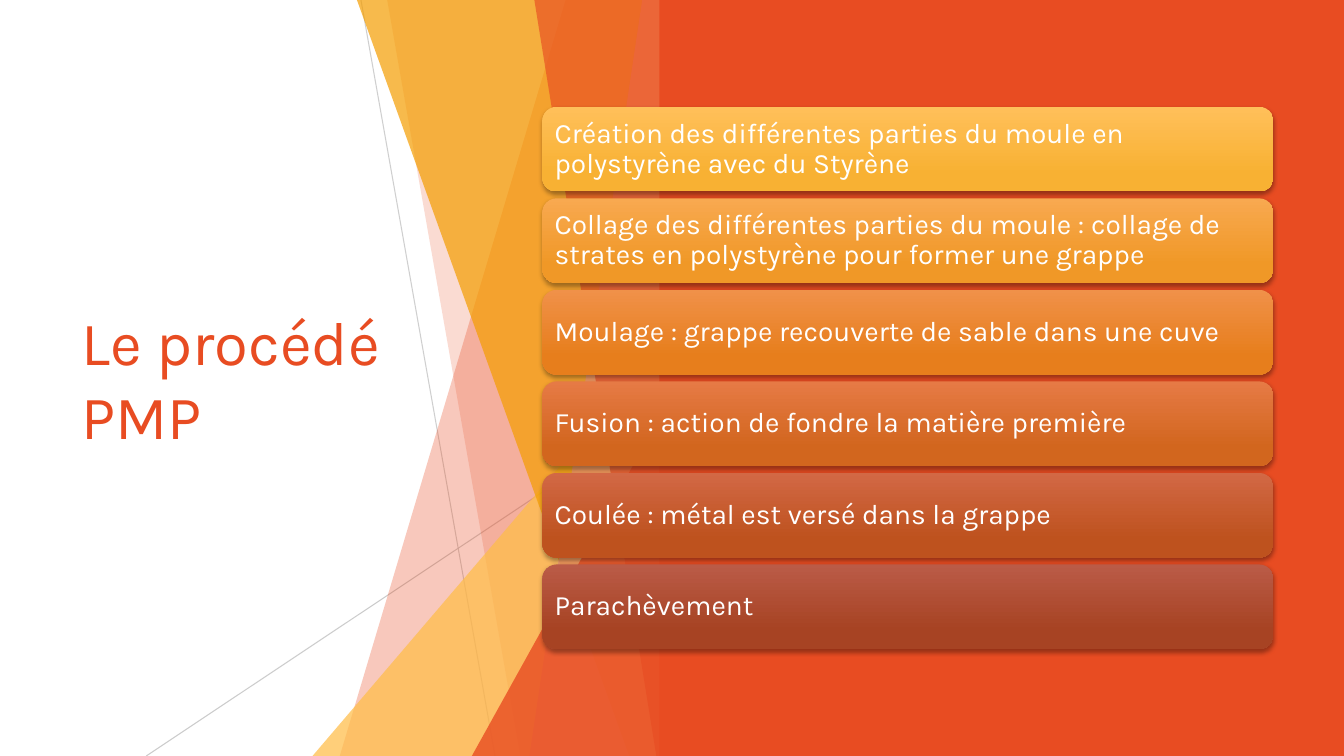
import pptx
import pptx.util
from lxml import etree
from pptx.dml.color import RGBColor
from pptx.enum.shapes import MSO_CONNECTOR, MSO_SHAPE
from pptx.enum.text import MSO_ANCHOR, PP_ALIGN
from pptx.oxml.ns import qn
from pptx.util import Inches

FONT = "Karla"
WHITE = RGBColor(0xFF, 0xFF, 0xFF)
RED = RGBColor(0xE8, 0x4C, 0x22)
GOLD = RGBColor(0xFF, 0xBD, 0x47)
AMBER = RGBColor(0xF4, 0x9D, 0x00)
PINK = RGBColor(0xF1, 0x94, 0x7A)
GREY = RGBColor(0xBF, 0xBF, 0xBF)

WIDE, HIGH = 13.33, 7.5
EDGE = 6.66  # right side of every facet

TITLE = "Le procédé PMP"

# step text, gradient top, gradient bottom
STEPS = [
    ("Création des différentes parties du moule en polystyrène avec du Styrène",
     "FFC05A", "F8B133"),
    ("Collage des différentes parties du moule : collage de strates en "
     "polystyrène pour former une grappe", "F8A950", "F09827"),
    ("Moulage : grappe recouverte de sable dans une cuve", "F09149", "E77E1C"),
    ("Fusion : action de fondre la matière première", "E67A45", "D2661E"),
    ("Coulée : métal est versé dans la grappe", "D26845", "BE521E"),
    ("Parachèvement", "BA5B47", "A74323"),
]

# start, end, opacity
LINES = [
    ((3.58, 0), (4.91, HIGH), 75),
    ((EDGE, 4.03), (1.45, HIGH), 80),
]

# Facets from back to front: kind, two numbers, colour, opacity.
# "band": left edge at the top and at the bottom; "peak": left and top.
FACETS = [
    ("band", 5.61, 3.37, RED, 30),
    ("band", 3.84, 5.16, RED, 20),
    ("peak", 3.1, 3.33, GOLD, 72),
    ("band", 3.54, 6.24, AMBER, 70),
    ("band", 6.37, 5.25, PINK, 70),
    ("band", 5.3, 6.51, RED, 65),
    ("peak", 4.68, 3.93, RED, 80),
]

CARD_X, CARD_Y, CARD_W, CARD_H = 5.38, 1.06, 7.25, 0.84
PITCH = 0.908

deck = pptx.Presentation()
deck.slide_width, deck.slide_height = Inches(WIDE), Inches(HIGH)
slide = deck.slides.add_slide(deck.slide_layouts[6])
shapes = slide.shapes


def fade(shape, alpha):
    """Set the opacity, in percent, of the shape's first plain colour."""
    color = next(shape._element.spPr.iter(qn("a:srgbClr")))
    etree.SubElement(color, qn("a:alpha"), val=str(alpha * 1000))


def paint(shape, color):
    shape.shadow.inherit = False
    shape.fill.solid()
    shape.fill.fore_color.rgb = color
    shape.line.fill.background()


def preset(kind, x, y, w, h):
    return shapes.add_shape(kind, Inches(x), Inches(y), Inches(w), Inches(h))


def write(shape, text, size, color, inset):
    frame = shape.text_frame
    frame.word_wrap = True
    frame.vertical_anchor = MSO_ANCHOR.MIDDLE
    frame.margin_left = frame.margin_right = Inches(inset)
    frame.margin_top = frame.margin_bottom = Inches(0.05)
    para = frame.paragraphs[0]
    para.text = text
    para.alignment = PP_ALIGN.LEFT
    para.font.name, para.font.size = FONT, pptx.util.Pt(size)
    para.font.color.rgb = color
    return para


def drop_shadow(shape):
    shape.shadow.inherit = False
    effects = shape._element.spPr.find(qn("a:effectLst"))
    outer = etree.SubElement(effects, qn("a:outerShdw"), blurRad="38100",
                             dist="25400", dir="5400000", rotWithShape="0")
    color = etree.SubElement(outer, qn("a:srgbClr"), val="000000")
    etree.SubElement(color, qn("a:alpha"), val="35000")


def add_band(top, foot):
    points = [(EDGE, 0), (EDGE, HIGH), (foot, HIGH)]
    form = shapes.build_freeform(Inches(top), 0)
    form.add_line_segments([(Inches(x), Inches(y)) for x, y in points])
    return form.convert_to_shape()


def add_peak(left, top):
    peak = preset(MSO_SHAPE.ISOSCELES_TRIANGLE, left, top,
                  EDGE - left, HIGH - top)
    peak.adjustments[0] = 1
    return peak


def add_card(row, text, top, foot):
    card = preset(MSO_SHAPE.ROUNDED_RECTANGLE, CARD_X, CARD_Y + row * PITCH,
                  CARD_W, CARD_H)
    card.line.fill.background()
    card.fill.gradient()
    card.fill.gradient_angle = 270
    first, last = card.fill.gradient_stops
    first.color.rgb = RGBColor.from_string(top)
    last.color.rgb = RGBColor.from_string(foot)
    last.position = 0.78
    drop_shadow(card)
    write(card, text, 20, WHITE, 0.08).line_spacing = 0.9


title = shapes.add_textbox(Inches(0.71), Inches(1.51), Inches(3.88), Inches(4.48))
write(title, TITLE, 44, RED, 0.1)

for start, end, alpha in LINES:
    line = shapes.add_connector(MSO_CONNECTOR.STRAIGHT,
                                *map(Inches, start + end))
    line.line.color.rgb = GREY
    line.line.width = pptx.util.Pt(0.75)
    fade(line, alpha)
    etree.SubElement(line._element.spPr, qn("a:effectLst"))

for kind, a, b, color, alpha in FACETS:
    facet = add_band(a, b) if kind == "band" else add_peak(a, b)
    paint(facet, color)
    fade(facet, alpha)

paint(preset(MSO_SHAPE.RECTANGLE, 6.54, 0, WIDE - 6.54, HIGH), RED)

for row, step in enumerate(STEPS):
    add_card(row, *step)

deck.save("out.pptx")
